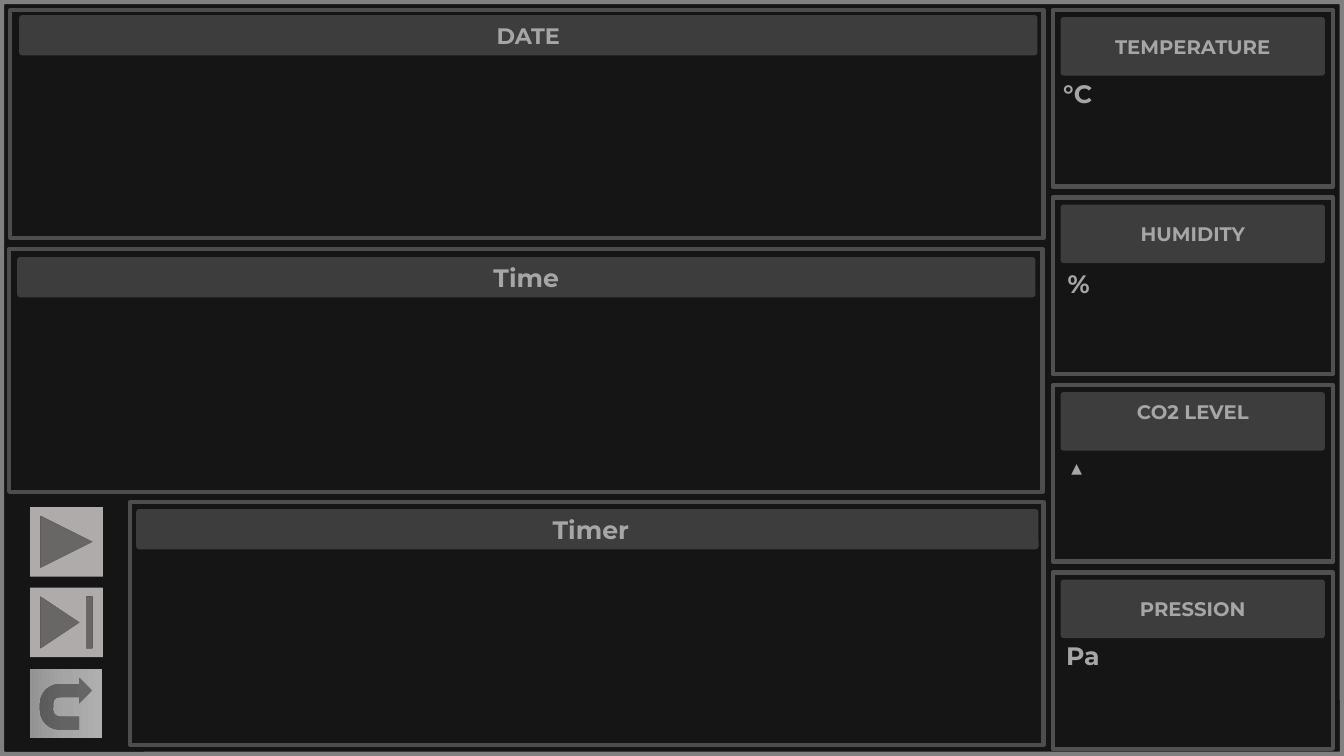
import copy

import pptx
import pptx.dml.color
import pptx.enum.shapes
import pptx.enum.text
import pptx.util

RGBColor = pptx.dml.color.RGBColor
SHAPE = pptx.enum.shapes.MSO_SHAPE
ANCHOR = pptx.enum.text.MSO_ANCHOR
Inches = pptx.util.Inches

BLACK = RGBColor(0x15, 0x15, 0x15)
HEADER = RGBColor(0x3D, 0x3D, 0x3D)
TEXT = RGBColor(0xA6, 0xA6, 0xA6)
BORDER = RGBColor(0x80, 0x80, 0x80)
MAIN_FRAME = RGBColor(0x4D, 0x4D, 0x4D)
SIDE_FRAME = RGBColor(0x50, 0x50, 0x50)
BUTTON = RGBColor(0xAF, 0xAB, 0xAB)
RETURN_STOPS = [
    (0, RGBColor(0xAF, 0xAF, 0xAF)),
    (0.5, RGBColor(0xA5, 0xA5, 0xA5)),
    (1, RGBColor(0x93, 0x93, 0x93)),
]

WIDTH, HEIGHT = 13.33, 7.5

presentation = pptx.Presentation()
presentation.slide_width = Inches(WIDTH)
presentation.slide_height = Inches(HEIGHT)
slide = presentation.slides.add_slide(presentation.slide_layouts[6])


def add_panel(kind, left, top, width, height, fill=None, line=None, weight=3, radius=None):
    shape = slide.shapes.add_shape(
        kind, Inches(left), Inches(top), Inches(width), Inches(height))
    shape.shadow.inherit = False
    if radius is not None:
        shape.adjustments[0] = radius
    if fill is None:
        shape.fill.background()
    else:
        shape.fill.solid()
        shape.fill.fore_color.rgb = fill
    if line is None:
        shape.line.fill.background()
    else:
        shape.line.color.rgb = line
        shape.line.width = pptx.util.Pt(weight)
    return shape


def write(shape, text, size=18, anchor=ANCHOR.MIDDLE, inset=0.05):
    frame = shape.text_frame
    frame.word_wrap = True
    frame.vertical_anchor = anchor
    frame.margin_top = Inches(inset)
    paragraph = frame.paragraphs[0]
    paragraph.alignment = pptx.enum.text.PP_ALIGN.CENTER
    run = paragraph.add_run()
    run.text = text
    run.font.name = "Montserrat"
    run.font.size = pptx.util.Pt(size)
    run.font.bold = True
    run.font.color.rgb = TEXT


add_panel(SHAPE.ROUNDED_RECTANGLE, 0, 0, WIDTH, HEIGHT,
          fill=BLACK, line=BORDER, weight=6, radius=0.006)

# Main panels: title, text size, frame box, header box
main_panels = [
    ("DATE", 16, (0.1, 0.1, 10.25, 2.26), (0.19, 0.15, 10.1, 0.4)),
    ("Time", 18, (0.09, 2.47, 10.25, 2.41), (0.17, 2.55, 10.1, 0.4)),
    (" Timer", 18, (1.29, 4.98, 9.06, 2.41), (1.35, 5.05, 8.95, 0.4)),
]
for title, size, frame_box, header_box in main_panels:
    add_panel(SHAPE.RECTANGLE, *frame_box, line=MAIN_FRAME)
    header = add_panel(SHAPE.ROUNDED_RECTANGLE, *header_box, fill=HEADER, radius=0.078)
    write(header, title, size)

# Sensor panels: title, unit, unit left, unit top, title anchor and inset
SENSOR_PITCH = 1.86
sensors = [
    ("TEMPERATURE", "°C", 10.24, 0.64, ANCHOR.MIDDLE, 0.05),
    ("HUMIDITY", "%", 10.25, 2.52, ANCHOR.MIDDLE, 0.05),
    ("CO2 LEVEL", "▲", 10.23, 4.34, ANCHOR.TOP, 0.07),
    ("PRESSION", "Pa", 10.29, 6.21, ANCHOR.MIDDLE, 0.05),
]
for row, (title, unit, unit_left, unit_top, anchor, inset) in enumerate(sensors):
    top = 0.1 + row * SENSOR_PITCH
    add_panel(SHAPE.RECTANGLE, 10.44, top, 2.78, 1.75, line=SIDE_FRAME)
    header = add_panel(SHAPE.ROUNDED_RECTANGLE, 10.52, top + 0.07, 2.62, 0.58,
                       fill=HEADER, radius=0.049)
    write(header, title, 14, anchor, inset)
    write(add_panel(SHAPE.ROUNDED_RECTANGLE, unit_left, unit_top, 0.9, 0.58, radius=0.078), unit)

# Timer buttons
BUTTON_PITCH = 0.8
for row, kind in enumerate([SHAPE.ACTION_BUTTON_FORWARD_OR_NEXT, SHAPE.ACTION_BUTTON_END]):
    add_panel(kind, 0.3, 5.03 + row * BUTTON_PITCH, 0.72, 0.69, fill=BUTTON)

return_button = add_panel(SHAPE.ACTION_BUTTON_RETURN, 0.31, 6.62, 0.69, 0.72)
return_button.rotation = 270
return_button.element.spPr.xfrm.set("flipV", "1")
return_button.fill.gradient()
return_button.fill.gradient_angle = 270
stop_list = return_button.element.spPr.find(".//" + pptx.oxml.ns.qn("a:gsLst"))
stop_list.insert(1, copy.deepcopy(stop_list[0]))
for stop, (position, color) in zip(return_button.fill.gradient_stops, RETURN_STOPS):
    stop.position = position
    stop.color.rgb = color

presentation.save("out.pptx")
